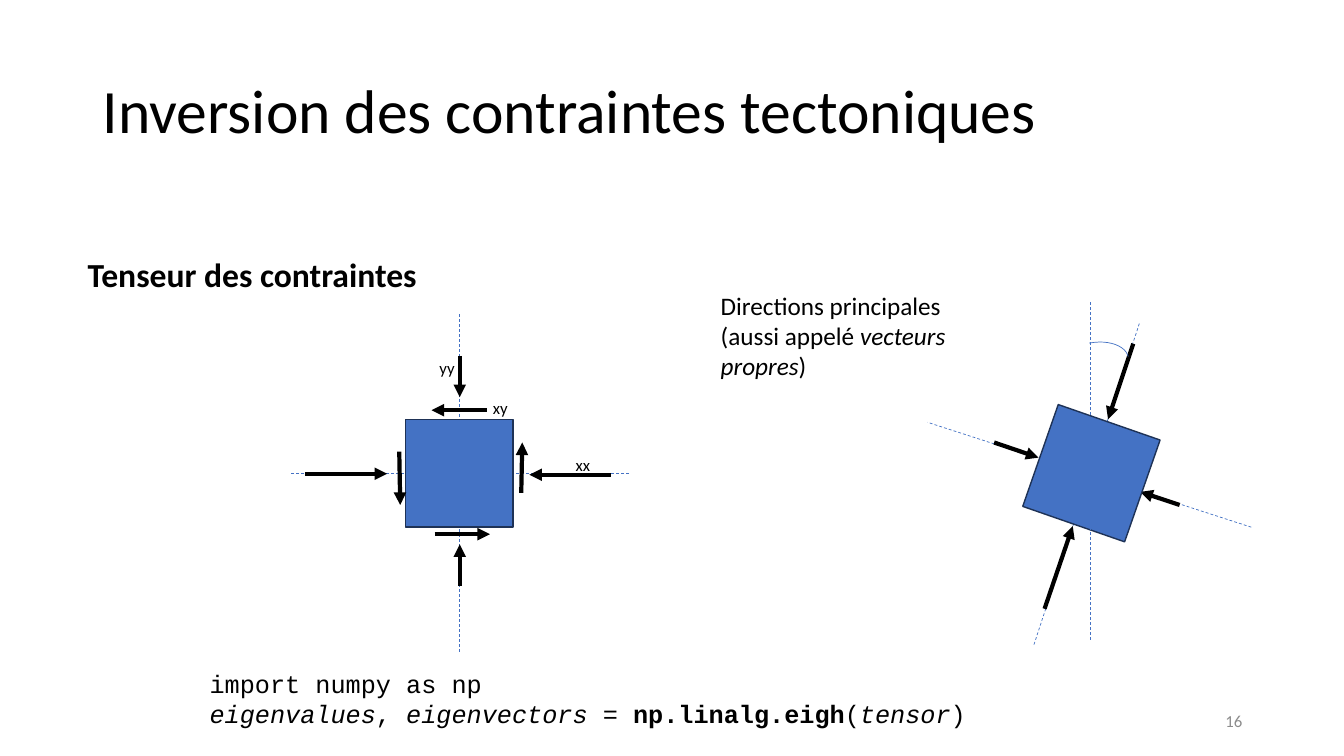
from lxml.etree import SubElement
from pptx import Presentation
from pptx.dml.color import RGBColor
from pptx.enum.dml import MSO_LINE
from pptx.enum.shapes import MSO_CONNECTOR, MSO_SHAPE
from pptx.enum.text import MSO_ANCHOR, PP_ALIGN
from pptx.oxml.ns import qn
from pptx.util import Inches, Pt


def color(code):
    return RGBColor.from_string(code)


def write(frame, *paras, size=18, font="Calibri", ink="000000",
          align=PP_ALIGN.LEFT, space=None):
    """Fill a frame; each paragraph is a list of (text, style) with style "", "b" or "i"."""
    for num, runs in enumerate(paras):
        para = frame.add_paragraph() if num else frame.paragraphs[0]
        para.alignment = align
        if space:
            para.line_spacing = space
        for text, style in runs:
            run = para.add_run()
            run.text = text
            run.font.size = Pt(size)
            run.font.name = font
            run.font.color.rgb = color(ink)
            run.font.bold = "b" in style
            run.font.italic = "i" in style


class Board:
    blue, edge, black = "4472C4", "1E3256", "000000"

    def __init__(self, slide):
        self.slide = slide
        self.shapes = slide.shapes

    def group(self):
        self.shapes = self.slide.shapes.add_group_shape().shapes

    def leave(self):
        self.shapes = self.slide.shapes

    def text(self, box, *paras, wrap=True, anchor=MSO_ANCHOR.TOP, **form):
        frame = self.shapes.add_textbox(*map(Inches, box)).text_frame
        frame.word_wrap = wrap
        frame.vertical_anchor = anchor
        write(frame, *paras, **form)

    def line(self, x1, y1, x2, y2, ink, width):
        link = self.shapes.add_connector(
            MSO_CONNECTOR.STRAIGHT, *map(Inches, (x1, y1, x2, y2)))
        link.line.color.rgb = color(ink)
        link.line.width = Pt(width)
        SubElement(link._element.spPr, qn("a:effectLst"))
        return link

    def axis(self, *ends):
        self.line(*ends, self.blue, 0.5).line.dash_style = MSO_LINE.DASH

    def arrow(self, *ends):
        link = self.line(*ends, self.black, 3)
        SubElement(link.line._get_or_add_ln(), qn("a:tailEnd"), type="triangle")

    def shape(self, kind, box, ink, width, fill=None, turn=0):
        item = self.shapes.add_shape(kind, *map(Inches, box))
        item.shadow.inherit = False
        item.rotation = turn
        item.line.color.rgb = color(ink)
        item.line.width = Pt(width)
        if fill:
            item.fill.solid()
            item.fill.fore_color.rgb = color(fill)
        else:
            item.fill.background()
        return item

    def square(self, left, top, turn=0):
        self.shape(MSO_SHAPE.RECTANGLE, (left, top, 1.07, 1.07),
                   self.edge, 1, self.blue, turn)


def main():
    deck = Presentation()
    deck.slide_width, deck.slide_height = Inches(13.33), Inches(7.5)
    board = Board(deck.slides.add_slide(deck.slide_layouts[6]))

    # Headings and page number
    board.text((0.92, 0.4, 11.5, 1.45), [("Inversion des contraintes tectoniques", "")],
               size=44, anchor=MSO_ANCHOR.MIDDLE, space=0.9)
    board.text((9.42, 6.95, 3, 0.4), [("16", "")], size=12, ink="8C8C8C",
               anchor=MSO_ANCHOR.MIDDLE, align=PP_ALIGN.RIGHT)
    board.text((0.77, 2.51, 10.85, 1.08), [("Tenseur des contraintes", "b")],
               size=24, space=0.9)

    # Principal directions: turned square
    board.group()
    board.axis(11.3, 3.21, 10.25, 6.41)
    board.axis(12.41, 5.23, 9.2, 4.19)
    for ends in ((9.86, 4.39, 10.3, 4.54), (11.7, 5.01, 11.31, 4.88),
                 (10.36, 6.04, 10.64, 5.22), (11.24, 3.41, 10.99, 4.16)):
        board.arrow(*ends)
    board.square(10.29, 4.16, 19.2)
    board.axis(10.81, 3, 10.81, 6.37)
    arc = board.shape(MSO_SHAPE.ARC, (10.49, 3.4, 0.71, 0.43),
                      board.blue, 0.5, turn=348.9)
    arc.adjustments[0] = 162
    arc.adjustments[1] = 214.96

    # Stress tensor: upright square
    board.group()
    board.axis(6.24, 4.7, 2.87, 4.7)
    board.axis(4.56, 3.12, 4.56, 6.49)
    board.square(4.02, 4.16)
    normal = ((3.03, 4.7, 3.84, 4.7), (6.06, 4.71, 5.25, 4.71),
              (4.56, 5.81, 4.56, 5.4), (4.56, 3.53, 4.56, 3.94))
    shear = ((4.83, 4.07, 4.28, 4.07), (4.31, 5.3, 4.86, 5.3),
             (5.17, 4.89, 5.18, 4.39), (3.96, 4.48, 3.97, 5.01))
    for ends in normal + shear:
        board.arrow(*ends)
    for name, left, top in (("xy", 4.79, 3.9), ("xx", 5.61, 4.46), ("yy", 4.26, 3.5)):
        board.text((left, top, 0.35, 0.3), [(name, "")], size=12, wrap=False)
    board.leave()

    # Caption and code
    board.text((7.05, 2.83, 3.21, 0.71), [("Directions principales", "")],
               [("(aussi appelé ", ""), ("vecteurs propres", "i"), (")", "")])
    board.text((1.98, 6.58, 8.82, 0.71), [("import numpy as np", "")],
               [("eigenvalues", "i"), (", ", ""), ("eigenvectors", "i"), (" = ", ""),
                ("np.linalg.eigh", "b"), ("(", ""), ("tensor", "i"), (")", "")],
               font="Courier New")

    deck.save("out.pptx")


if __name__ == "__main__":
    main()
